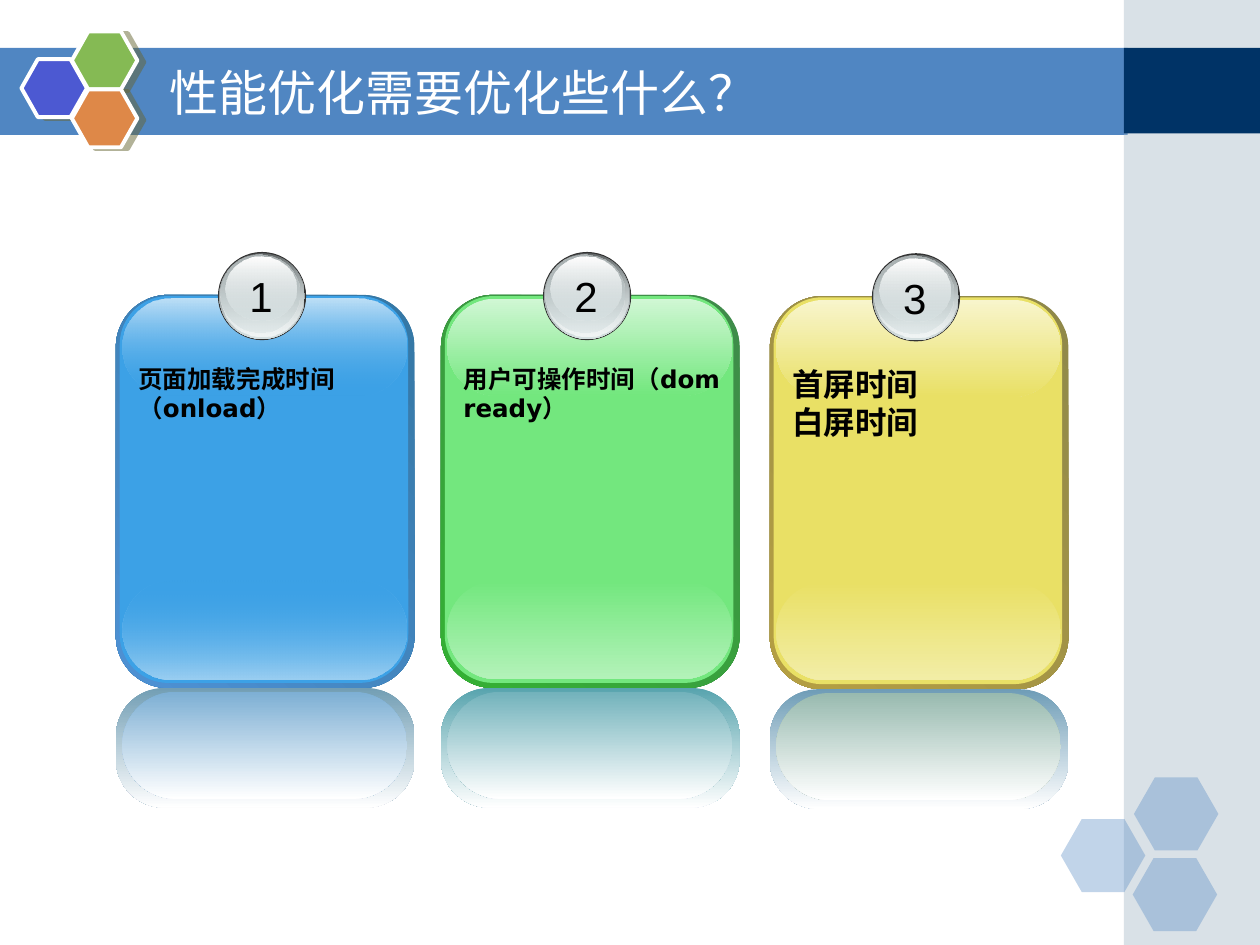
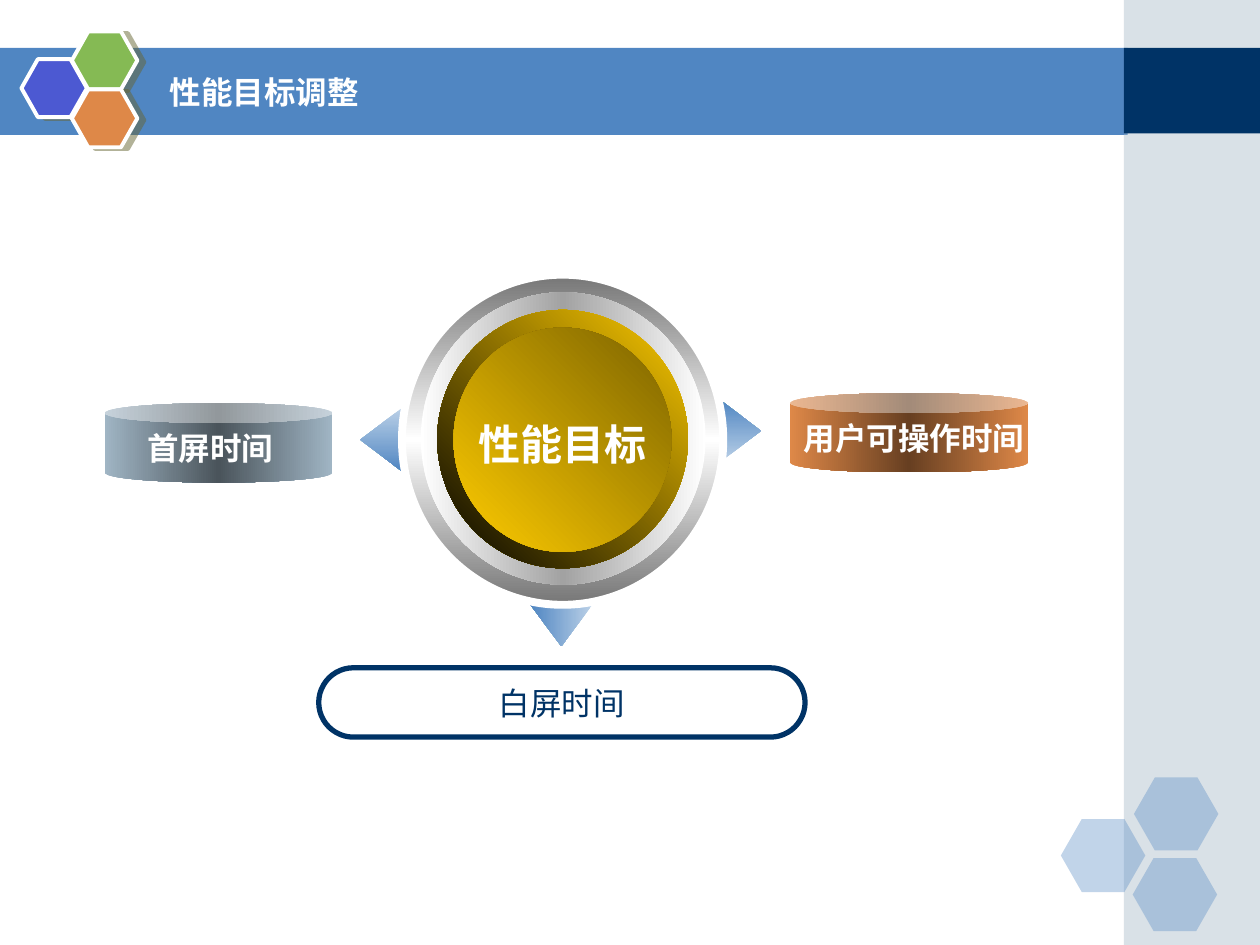
from dataclasses import dataclass
from typing import NamedTuple, Optional, Union

from lxml import etree
from pptx import Presentation
from pptx.dml.color import RGBColor
from pptx.enum import shapes, text
from pptx.oxml import ns
from pptx.shapes.autoshape import Shape
from pptx.slide import Slide
from pptx.util import Inches, Pt

WHITE = RGBColor(0xFF, 0xFF, 0xFF)
BLACK = RGBColor(0x00, 0x00, 0x00)
BAND_BLUE = RGBColor(0x50, 0x86, 0xC2)
PALE_BLUE = RGBColor(0xBA, 0xD0, 0xE7)
NAVY = RGBColor(0x00, 0x33, 0x66)
STEEL = RGBColor(0xA0, 0xB5, 0xC4)
DARK_STEEL = RGBColor(0x4A, 0x54, 0x5B)
INDIGO = RGBColor(0x4C, 0x59, 0xD2)
GREEN = RGBColor(0x85, 0xBA, 0x54)
ORANGE = RGBColor(0xDE, 0x88, 0x48)
BROWN = RGBColor(0x67, 0x3F, 0x21)
OLIVE = RGBColor(0x66, 0x66, 0x33)
GOLD = RGBColor(0xFF, 0xCC, 0x00)
DARK_GOLD = RGBColor(0x7C, 0x63, 0x00)
RIM_GREY = RGBColor(0x76, 0x76, 0x76)
RING_GREY = RGBColor(0xA2, 0xA2, 0xA2)
CHARCOAL = RGBColor(0x33, 0x33, 0x33)
BADGE_DARK = RGBColor(0x63, 0x68, 0x69)
BADGE_MID = RGBColor(0xAA, 0xB2, 0xB3)
BADGE_PALE = RGBColor(0xD6, 0xE1, 0xE2)
BADGE_LIGHT = RGBColor(0xF1, 0xF5, 0xF5)

SANS = "DejaVu Sans"
ARIAL = "Arial"
KIND = shapes.MSO_SHAPE


class Place(NamedTuple):
    left: float
    top: float
    width: float
    height: float

    def shifted(self, right: float, down: float) -> "Place":
        return Place(self.left + right, self.top + down, self.width, self.height)


class Tint(NamedTuple):
    """A colour with its opacity in percent."""
    color: RGBColor
    opacity: int = 100


@dataclass(frozen=True)
class Gradient:
    """Evenly spaced tints along a clockwise angle in degrees."""
    angle: int
    tints: tuple[Tint, ...]


Paint = Union[Tint, Gradient]


@dataclass(frozen=True)
class TextStyle:
    size: int
    font: str = SANS
    color: RGBColor = WHITE
    bold: bool = False
    centered: bool = True


@dataclass(frozen=True)
class Card:
    number: str
    content: str
    text_size: int
    right: float
    down: float
    rim: tuple[RGBColor, RGBColor]
    body: RGBColor
    shine: RGBColor
    glow: RGBColor
    fade_opacity: int
    reflections: tuple[RGBColor, RGBColor]


def blend(angle: int, *tints: Union[RGBColor, Tint]) -> Gradient:
    return Gradient(angle, tuple(t if isinstance(t, Tint) else Tint(t) for t in tints))


def add_color(parent: etree._Element, tint: Tint) -> None:
    color = etree.SubElement(parent, ns.qn("a:srgbClr"), val=str(tint.color))
    if tint.opacity < 100:
        etree.SubElement(color, ns.qn("a:alpha"), val=str(tint.opacity * 1000))


def paint_shape(shape: Shape, paint: Paint) -> None:
    if isinstance(paint, Tint):
        fill = etree.Element(ns.qn("a:solidFill"))
        add_color(fill, paint)
    else:
        fill = etree.Element(ns.qn("a:gradFill"), rotWithShape="1")
        stops = etree.SubElement(fill, ns.qn("a:gsLst"))
        for index, tint in enumerate(paint.tints):
            position = 100000 * index // (len(paint.tints) - 1)
            add_color(etree.SubElement(stops, ns.qn("a:gs"), pos=str(position)), tint)
        etree.SubElement(fill, ns.qn("a:lin"), ang=str(paint.angle * 60000), scaled="0")
    shape.element.spPr.find(ns.qn("a:prstGeom")).addnext(fill)


def add_figure(page: Slide, kind: shapes.MSO_SHAPE, place: Place, paint: Paint,
               adjustments: tuple[float, ...] = (),
               line: Optional[tuple[RGBColor, float]] = None) -> Shape:
    shape = page.shapes.add_shape(kind, *map(Inches, place))
    shape.shadow.inherit = False
    for index, value in enumerate(adjustments):
        shape.adjustments[index] = value
    if line:
        shape.line.color.rgb = line[0]
        shape.line.width = Pt(line[1])
    else:
        shape.line.fill.background()
    paint_shape(shape, paint)
    return shape


def write(shape: Shape, content: str, style: TextStyle, wrap: bool = False,
          anchor: text.MSO_ANCHOR = text.MSO_ANCHOR.TOP) -> None:
    frame = shape.text_frame
    frame.text = content
    frame.word_wrap = wrap
    frame.vertical_anchor = anchor
    for para in frame.paragraphs:
        para.alignment = text.PP_ALIGN.CENTER if style.centered else text.PP_ALIGN.LEFT
        for span in para.runs:
            span.font.name = style.font
            span.font.size = Pt(style.size)
            span.font.bold = style.bold
            span.font.color.rgb = style.color


def add_label(page: Slide, place: Place, content: str, style: TextStyle, wrap: bool = False,
              anchor: text.MSO_ANCHOR = text.MSO_ANCHOR.TOP) -> None:
    box = page.shapes.add_textbox(*map(Inches, place))
    write(box, content, style, wrap, anchor)


def add_logo_hexagon(page: Slide, left: float, top: float, color: RGBColor) -> None:
    hexagon = add_figure(page, KIND.HEXAGON, Place(left, top, 0.52, 0.46), Tint(color),
                         (0.283,), (WHITE, 2.25))
    effects = hexagon.element.spPr.find(ns.qn("a:effectLst"))
    shadow = etree.SubElement(effects, ns.qn("a:outerShdw"), dist=str(Pt(4.1)),
                              dir=str(14 * 60000), algn="ctr", rotWithShape="0")
    add_color(shadow, Tint(OLIVE, 50))


def add_page(deck: Presentation, title: str, style: TextStyle) -> Slide:
    """Add a slide with the title band, side strip and hexagons."""
    page = deck.slides.add_slide(deck.slide_layouts[6])
    add_figure(page, KIND.RECTANGLE, Place(0, 0.38, 8.95, 0.69), Tint(BAND_BLUE))
    add_figure(page, KIND.RECTANGLE, Place(8.92, 0, 1.08, 7.5), Tint(STEEL, 40))
    add_figure(page, KIND.RECTANGLE, Place(8.92, 0.38, 1.08, 0.68), Tint(NAVY))
    for left, top in ((8.42, 6.5), (9, 6.17), (8.99, 6.81)):
        add_figure(page, KIND.HEXAGON, Place(left, top, 0.67, 0.58),
                   Tint(BAND_BLUE, 35), (0.286,))
    for left, top, color in ((0.17, 0.47, INDIGO), (0.57, 0.25, GREEN), (0.57, 0.71, ORANGE)):
        add_logo_hexagon(page, left, top, color)
    add_label(page, Place(1.25, 0.42, 7.33, 0.62), title, style, True, text.MSO_ANCHOR.MIDDLE)
    return page


BADGE_LAYERS: tuple[tuple[Place, Paint], ...] = (
    (Place(1.73, 2, 0.7, 0.7), Tint(CHARCOAL)),
    (Place(1.74, 2.01, 0.68, 0.68), blend(90, BADGE_DARK, BADGE_PALE)),
    (Place(1.75, 2.01, 0.66, 0.66), blend(90, Tint(BADGE_PALE, 0), BADGE_LIGHT)),
    (Place(1.75, 2.02, 0.63, 0.62), blend(90, BADGE_MID, Tint(BADGE_PALE, 48))),
    (Place(1.79, 2.04, 0.56, 0.5), blend(90, WHITE, Tint(BADGE_PALE, 38))),
)

CARDS = (
    Card("1", "页面加载完成时间（onload）", 14, 0, 0,
         (RGBColor(0x34, 0x77, 0xA4), RGBColor(0x4E, 0x91, 0xD4)),
         RGBColor(0x3C, 0xA1, 0xE6), RGBColor(0xBE, 0xE0, 0xF7), RGBColor(0x9B, 0xCF, 0xF2), 0,
         (RGBColor(0x72, 0x9E, 0xB4), RGBColor(0x7D, 0xAF, 0xD4))),
    Card("2", "用户可操作时间（dom ready）", 14, 2.58, 0,
         (RGBColor(0x3F, 0x8B, 0x4A), RGBColor(0x34, 0xB0, 0x34)),
         RGBColor(0x73, 0xE7, 0x7E), RGBColor(0xD0, 0xF7, 0xD4), RGBColor(0xB3, 0xF2, 0xB9), 100,
         (RGBColor(0x58, 0xA4, 0xAE), RGBColor(0x72, 0xB2, 0xBB))),
    Card("3", "首屏时间\n白屏时间", 18, 5.19, 0.01,
         (RGBColor(0x8F, 0x88, 0x49), RGBColor(0xB5, 0x9F, 0x43)),
         RGBColor(0xE9, 0xE0, 0x65), RGBColor(0xF8, 0xF5, 0xCC), RGBColor(0xF2, 0xED, 0xA6), 100,
         (RGBColor(0x6F, 0x9D, 0xB7), RGBColor(0x98, 0xBA, 0xAF))),
)


def add_card(page: Slide, card: Card) -> None:
    """Draw a glossy card; places are those of the first card, shifted."""
    fade = Tint(card.body, card.fade_opacity)
    layers = (
        (Place(0.92, 2.34, 2.37, 3.12), 0.175, blend(135, *card.rim)),
        (Place(0.95, 2.35, 2.29, 3.07), 0.168, Tint(card.body)),
        (Place(0.97, 4.61, 2.26, 0.78), 0.5, blend(90, fade, card.glow)),
        (Place(0.97, 2.37, 2.26, 0.77), 0.5, blend(90, card.shine, fade)),
        (Place(0.92, 5.46, 2.37, 0.95), 0.404, blend(90, card.reflections[0], WHITE)),
        (Place(0.97, 5.49, 2.26, 0.85), 0.5, blend(90, card.reflections[1], WHITE)),
    )
    for place, rounding, paint in layers:
        add_figure(page, KIND.ROUNDED_RECTANGLE, place.shifted(card.right, card.down),
                   paint, (rounding,))
    for place, paint in BADGE_LAYERS:
        add_figure(page, KIND.OVAL, place.shifted(card.right, card.down), paint)
    add_label(page, Place(1.88, 2.1, 0.38, 0.5).shifted(card.right, card.down),
              card.number, TextStyle(24, ARIAL, BLACK))
    add_label(page, Place(1, 2.84, 2.25, 0.57).shifted(card.right, card.down), card.content,
              TextStyle(card.text_size, color=BLACK, bold=True, centered=False), wrap=True)


def add_goal_dial(page: Slide) -> None:
    arrows = (
        (KIND.LEFT_ARROW, Place(2.86, 3.24, 0.33, 0.5), 90),
        (KIND.RIGHT_ARROW, Place(5.71, 3.17, 0.33, 0.5), 270),
        (KIND.DOWN_ARROW, Place(4.21, 4.8, 0.49, 0.33), 180),
    )
    for kind, place, angle in arrows:
        add_figure(page, kind, place, blend(angle, PALE_BLUE, BAND_BLUE), (0.517, 1))
    rings = (
        (Place(3.19, 2.18, 2.55, 2.62), blend(90, RIM_GREY, WHITE, RIM_GREY), (WHITE, 4.5)),
        (Place(3.34, 2.32, 2.26, 2.32), blend(180, WHITE, RING_GREY, WHITE), None),
        (Place(3.47, 2.46, 1.99, 2.05), blend(135, GOLD, BLACK), None),
        (Place(3.6, 2.6, 1.73, 1.78), blend(135, DARK_GOLD, GOLD), None),
    )
    for place, paint, line in rings:
        add_figure(page, KIND.OVAL, place, paint, line=line)
    add_label(page, Place(3.7, 3.27, 1.53, 0.5), "性能目标", TextStyle(24, ARIAL, bold=True))


def add_targets(page: Slide) -> None:
    drums = (
        (Place(0.83, 3.2, 1.81, 0.63), STEEL, DARK_STEEL,
         Place(1.07, 3.36, 1.2, 0.4), "首屏时间"),
        (Place(6.27, 3.12, 1.89, 0.63), ORANGE, BROWN,
         Place(6.28, 3.28, 1.95, 0.4), "用户可操作时间"),
    )
    for place, edge, middle, label_place, content in drums:
        add_figure(page, KIND.CAN, place, blend(180, edge, middle, edge), (0.25,))
        add_label(page, label_place, content, TextStyle(18, ARIAL, bold=True))
    pill = add_figure(page, KIND.ROUNDED_RECTANGLE, Place(2.53, 5.3, 3.86, 0.55),
                      Tint(WHITE), (0.5,), (NAVY, 3))
    write(pill, "白屏时间", TextStyle(18, color=NAVY), anchor=text.MSO_ANCHOR.MIDDLE)


def main() -> None:
    deck = Presentation()
    deck.slide_width, deck.slide_height = Inches(10), Inches(7.5)

    cards_page = add_page(deck, "性能优化需要优化些什么？", TextStyle(28, centered=False))
    for card in CARDS:
        add_card(cards_page, card)

    goals_page = add_page(deck, "性能目标调整", TextStyle(18, bold=True, centered=False))
    add_goal_dial(goals_page)
    add_targets(goals_page)

    deck.save("out.pptx")


if __name__ == "__main__":
    main()
